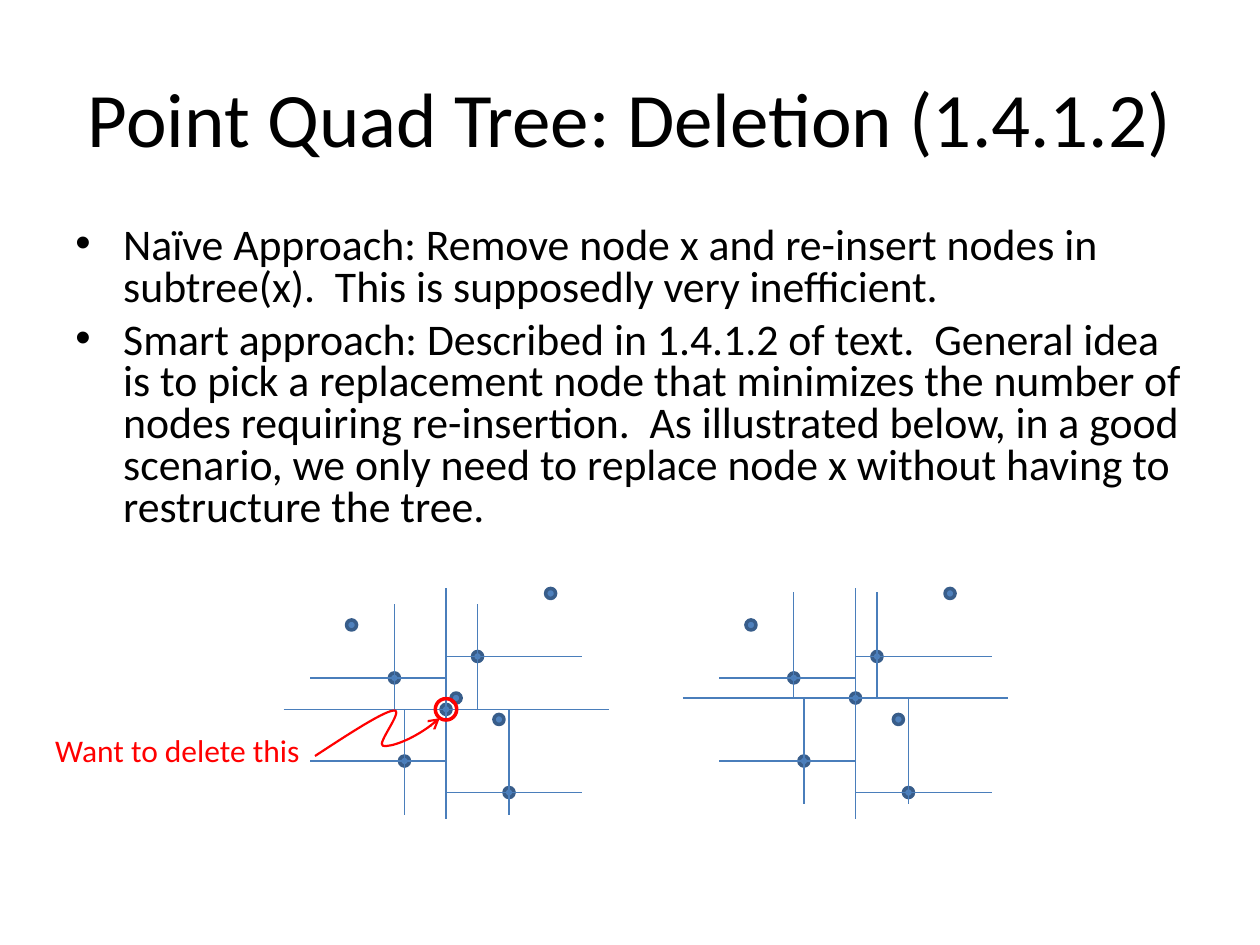
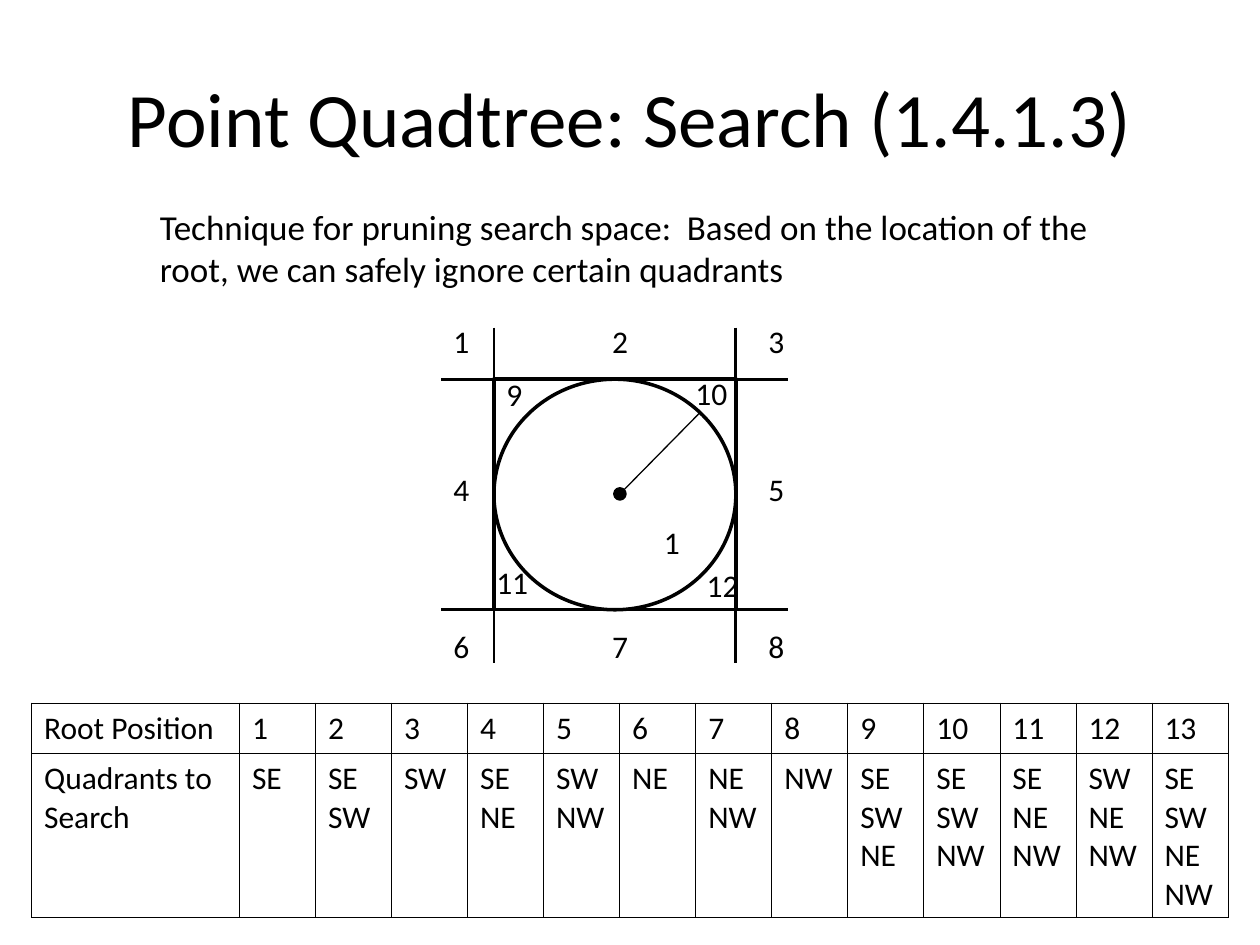
from lxml import etree
from pptx import Presentation
from pptx.dml.color import RGBColor
from pptx.enum.shapes import MSO_CONNECTOR, MSO_SHAPE
from pptx.enum.text import MSO_ANCHOR, MSO_AUTO_SIZE, PP_ALIGN
from pptx.oxml.ns import qn
from pptx.util import Inches, Pt

ELLIPSE, RECTANGLE = MSO_SHAPE.OVAL, MSO_SHAPE.RECTANGLE
STRAIGHT = MSO_CONNECTOR.STRAIGHT
LEFT, CENTER = PP_ALIGN.LEFT, PP_ALIGN.CENTER
MIDDLE = MSO_ANCHOR.MIDDLE
FIT_SHAPE, NO_FIT = MSO_AUTO_SIZE.SHAPE_TO_FIT_TEXT, MSO_AUTO_SIZE.NONE
TITLE_ONLY = 5

FONT = "Calibri"
COLORS = {"ink": "000000", "node": "4F81BD", "node_edge": "385D8A",
          "split": "4A7EBB", "alert": "FF0000"}
DOT = 0.08


def rgb(name):
    return RGBColor.from_string(COLORS[name])


def box(left, top, width, height):
    return [Inches(v) for v in (left, top, width, height)]


def write_text(frame, text, size=18, color="ink", align=LEFT, bullet=False,
               line_spacing=None, space_before=None):
    """Fill a text frame, one paragraph per line of text."""
    for i, line in enumerate(text.split("\n")):
        paragraph = frame.paragraphs[0] if i == 0 else frame.add_paragraph()
        paragraph.alignment = align
        if line_spacing:
            paragraph.line_spacing = line_spacing
        if space_before is not None:
            paragraph.space_before = Pt(space_before)
        if bullet:
            props = paragraph._p.get_or_add_pPr()
            props.set("marL", str(Inches(0.38)))
            props.set("indent", str(-Inches(0.38)))
            etree.SubElement(props, qn("a:buFont"), typeface="Arial")
            etree.SubElement(props, qn("a:buChar"), char="•")
        run = paragraph.add_run()
        run.text = line
        run.font.name = FONT
        run.font.size = Pt(size)
        run.font.color.rgb = rgb(color)


class Deck:
    def __init__(self):
        self.presentation = Presentation()
        self.presentation.slide_width = Inches(10)
        self.presentation.slide_height = Inches(7.5)
        self.slide = None

    def new_slide(self, heading):
        layout = self.presentation.slide_layouts[TITLE_ONLY]
        self.slide = self.presentation.slides.add_slide(layout)
        title = self.slide.shapes.title
        title.left, title.top, title.width, title.height = box(0.5, 0.3, 9, 1.25)
        title.text_frame.vertical_anchor = MIDDLE
        title.text_frame.auto_size = NO_FIT
        write_text(title.text_frame, heading, size=44, align=CENTER)

    def text(self, text, left, top, width, height, wrap=False, fit=FIT_SHAPE,
             **style):
        frame = self.slide.shapes.add_textbox(
            *box(left, top, width, height)).text_frame
        frame.word_wrap = wrap
        frame.auto_size = fit
        write_text(frame, text, **style)

    def outline(self, shape, fill, line, weight):
        shape.shadow.inherit = False
        if fill:
            shape.fill.solid()
            shape.fill.fore_color.rgb = rgb(fill)
        else:
            shape.fill.background()
        shape.line.color.rgb = rgb(line)
        shape.line.width = Pt(weight)

    def shape(self, kind, left, top, width, height, fill=None, line="ink"):
        shape = self.slide.shapes.add_shape(kind, *box(left, top, width, height))
        self.outline(shape, fill, line, 2)

    def circle(self, x, y, size=DOT, **style):
        self.shape(ELLIPSE, x - size / 2, y - size / 2, size, size, **style)

    def line(self, x1, y1, x2, y2, color="ink", weight=1.5):
        connector = self.slide.shapes.add_connector(
            STRAIGHT, *box(x1, y1, x2, y2))
        connector.line.color.rgb = rgb(color)
        connector.line.width = Pt(weight)
        etree.SubElement(connector._element.spPr, qn("a:effectLst"))

    def curved_arrow(self, points, color, weight):
        """Draw Bezier segments: a start, then three points per segment."""
        points = [(Inches(x), Inches(y)) for x, y in points]
        builder = self.slide.shapes.build_freeform(*points[0])
        builder.add_line_segments(points[1:], close=False)
        arrow = builder.convert_to_shape()
        self.outline(arrow, None, color, weight)
        properties = arrow._element.spPr
        outline_path = next(properties.iter(qn("a:path")))
        steps = outline_path.findall(qn("a:lnTo"))
        for i in range(0, len(steps), 3):
            curve = etree.SubElement(outline_path, qn("a:cubicBezTo"))
            for step in steps[i:i + 3]:
                curve.append(step[0])
                outline_path.remove(step)
        etree.SubElement(properties.find(qn("a:ln")), qn("a:tailEnd"), type="arrow")

    def table(self, rows, left, top, widths, heights):
        table = self.slide.shapes.add_table(
            len(rows), len(widths),
            *box(left, top, sum(widths), sum(heights))).table
        table.first_row = table.horz_banding = False
        for column, width in zip(table.columns, widths):
            column.width = Inches(width)
        for row, height, texts in zip(table.rows, heights, rows):
            row.height = Inches(height)
            for cell, text in zip(row.cells, texts):
                self.cell_borders(cell)
                cell.fill.background()
                write_text(cell.text_frame, text)

    def cell_borders(self, cell):
        properties = cell._tc.get_or_add_tcPr()
        for side in ("a:lnL", "a:lnR", "a:lnT", "a:lnB"):
            border = etree.SubElement(properties, qn(side), w=str(Pt(0.45)))
            fill = etree.SubElement(border, qn("a:solidFill"))
            etree.SubElement(fill, qn("a:srgbClr"), val=COLORS["ink"])


def draw_quadtree(deck, root, children, leaves, shift=0):
    """Draw the nodes, and the lines by which root and children split space."""
    root_x, root_y = root[0] + shift, root[1]
    for x, y in [root] + children + leaves:
        deck.circle(x + shift, y, fill="node", line="node_edge")
    splits = [(2.25 + shift, root_y, 4.83 + shift, root_y),
              (root_x, 4.67, root_x, 6.5)]
    for x, y in children:
        x += shift
        reach_x = root_x + (1.08 if x > root_x else -1.08)
        reach_y = root_y + (0.84 if y > root_y else -0.84)
        splits += [(root_x, y, reach_x, y), (x, root_y, x, reach_y)]
    for split in splits:
        deck.line(*split, color="split", weight=0.75)


def deletion_slide(deck):
    deck.new_slide("Point Quad Tree: Deletion (1.4.1.2)")
    deck.text(
        "Naïve Approach: Remove node x and re-insert nodes in subtree(x).  "
        "This is supposedly very inefficient.\n"
        "Smart approach: Described in 1.4.1.2 of text.  General idea is to "
        "pick a replacement node that minimizes the number of nodes requiring "
        "re-insertion.  As illustrated below, in a good scenario, we only need "
        "to replace node x without having to restructure the tree.",
        0.5, 1.75, 9, 2.67, wrap=True, fit=NO_FIT, size=25, bullet=True,
        line_spacing=0.8, space_before=6.2)

    # Trees before and after the deletion
    deleted, replacement = (3.54, 5.63), (3.62, 5.54)
    children = [(3.13, 5.38), (3.79, 5.21), (3.21, 6.04), (4.04, 6.29)]
    leaves = [(3.96, 5.71), (4.37, 4.71), (2.79, 4.96)]
    draw_quadtree(deck, deleted, children, leaves + [replacement])
    draw_quadtree(deck, replacement, children, leaves, shift=3.17)

    # Callout on the node to delete
    deck.curved_arrow([(2.5, 6), (2.7, 5.87), (3.03, 5.65), (3.12, 5.64),
                       (3.22, 5.62), (2.98, 5.91), (3.04, 5.92),
                       (3.1, 5.93), (3.31, 5.86), (3.49, 5.7)], "alert", 1.25)
    deck.circle(*deleted, size=0.17, line="alert")
    deck.text("Want to delete this", 0.34, 5.75, 2.16, 0.4, color="alert")


def search_slide(deck):
    deck.new_slide("Point Quadtree: Search (1.4.1.3)")
    deck.text("Technique for pruning search space:  Based on the location of "
              "the root, we can safely ignore certain quadrants",
              1.17, 1.58, 7.92, 0.77, wrap=True, size=20)

    # Search circle, its bounding square and the extended sides
    left, top, width, height = 3.92, 3.01, 1.92, 1.83
    for kind in (ELLIPSE, RECTANGLE):
        deck.shape(kind, left, top, width, height)
    for y in (top, top + height):
        deck.line(3.5, y, 6.25, y)
    for x in (left, left + width):
        deck.line(x, 2.6, x, 5.26)
    deck.circle(4.92, 3.92, fill="ink")
    deck.line(4.95, 3.89, 5.55, 3.28, weight=0.75)

    # Region numbers: the ring outside, then the corners and the inside
    ring = [(x, y) for y in (2.51, 3.68, 4.93) for x in (3.5, 4.76, 6)]
    ring.remove((4.76, 3.68))
    regions = [(str(i), x, y) for i, (x, y) in enumerate(ring, 1)]
    regions += [("9", 3.92, 2.93), ("10", 5.42, 2.92), ("11", 3.84, 4.42),
                ("12", 5.51, 4.44), ("1", 5.17, 4.1)]
    for number, x, y in regions:
        deck.text(number, x, y, 0.32 if len(number) == 1 else 0.45, 0.4)

    # Quadrants to search for each root position
    quadrants = ["SE", "SE SW", "SW", "SE NE", "SW NW", "NE", "NE NW", "NW",
                 "SE SW NE", "SE SW NW", "SE NE NW", "SW NE NW", "SE SW NE NW"]
    positions = [str(i) for i in range(1, len(quadrants) + 1)]
    position_width = (9.5 - 1.65) / len(quadrants)
    deck.table([["Root Position"] + positions,
                ["Quadrants to Search"] + quadrants],
               0.25, 5.58, [1.65] + [position_width] * len(quadrants), [0.4, 1.3])


def main():
    deck = Deck()
    deletion_slide(deck)
    search_slide(deck)
    deck.presentation.save("out.pptx")


if __name__ == "__main__":
    main()
